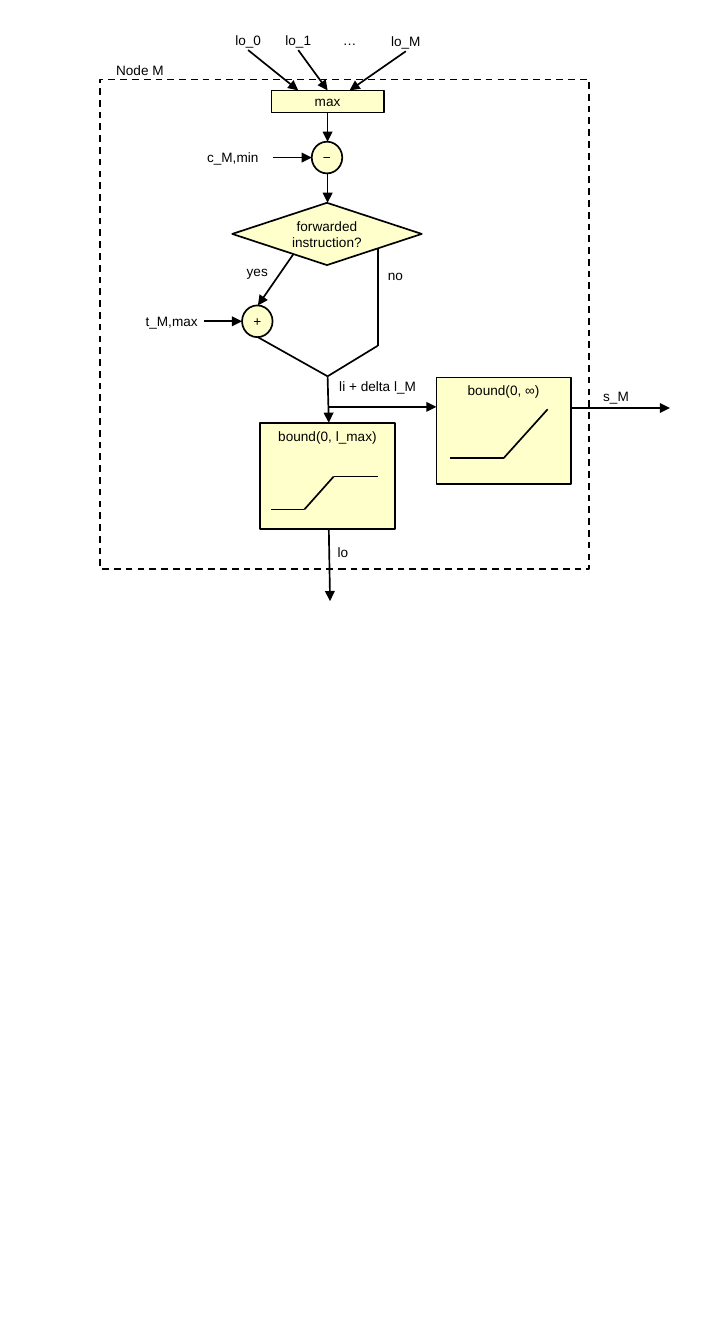
from pptx import Presentation
from pptx.dml.color import RGBColor
from pptx.enum.dml import MSO_LINE
from pptx.enum.shapes import MSO_CONNECTOR, MSO_SHAPE
from pptx.enum.text import MSO_ANCHOR, PP_ALIGN
from pptx.oxml.ns import qn
from pptx.util import Inches, Pt
from lxml import etree

RECT, OVAL, DIAMOND = MSO_SHAPE.RECTANGLE, MSO_SHAPE.OVAL, MSO_SHAPE.DIAMOND
MID, TOP = MSO_ANCHOR.MIDDLE, MSO_ANCHOR.TOP
INK, CREAM = "000000", "FFFFCC"

deck = Presentation()
deck.slide_width, deck.slide_height = Inches(5.8), Inches(11)
slide = deck.slides.add_slide(deck.slide_layouts[6])
shapes = slide.shapes
color = RGBColor.from_string


def write(shape, text, anchor=MID, inset=0):
    frame = shape.text_frame
    frame.word_wrap = True
    frame.vertical_anchor = anchor
    frame.margin_left = frame.margin_right = frame.margin_bottom = 0
    frame.margin_top = Inches(inset)
    para = frame.paragraphs[0]
    para.alignment = PP_ALIGN.CENTER
    run = para.add_run()
    run.text = text
    run.font.name, run.font.size = "Arial", Pt(8)
    run.font.color.rgb = color(INK)


def draw(points, arrow=False):
    for start, end in zip(points, points[1:]):
        line = shapes.add_connector(
            MSO_CONNECTOR.STRAIGHT, *[Inches(v) for v in start + end])
        line.line.color.rgb = color(INK)
        line.line.width = Pt(1)
        props = line._element.spPr
        if arrow:
            tip = etree.SubElement(props.find(qn("a:ln")), qn("a:tailEnd"))
            tip.set("type", "triangle")
        etree.SubElement(props, qn("a:effectLst"))


# Arrows between the steps
arrows = [
    [(2.03, 0.41), (2.44, 0.74)],
    [(2.44, 0.41), (2.68, 0.74)],
    [(3.32, 0.42), (2.86, 0.74)],
    [(2.68, 0.92), (2.68, 1.16)],
    [(2.23, 1.29), (2.55, 1.29)],
    [(2.68, 1.42), (2.68, 1.66)],
    [(2.4, 2.08), (2.11, 2.5)],
    [(1.67, 2.63), (1.98, 2.63)],
    [(2.68, 3.08), (2.69, 3.46)],
    [(2.69, 3.33), (3.57, 3.33)],
    [(2.69, 4.33), (2.7, 4.92)],
    [(4.67, 3.34), (5.48, 3.34)],
]
for points in arrows:
    draw(points, arrow=True)

# Both branches meet again
draw([(2.11, 2.76), (2.68, 3.08), (3.09, 2.83), (3.09, 2)])

# Steps and the dashed node frame
blocks = [
    (RECT, 2.22, 0.74, 0.92, 0.18, "max", MID),
    (OVAL, 2.55, 1.16, 0.25, 0.26, "−", MID),
    (OVAL, 1.98, 2.5, 0.25, 0.26, "+", MID),
    (DIAMOND, 1.9, 1.66, 1.55, 0.51, "forwarded instruction?", MID),
    (RECT, 2.13, 3.46, 1.1, 0.87, "bound(0, l_max)", TOP),
    (RECT, 3.57, 3.09, 1.1, 0.87, "bound(0, ∞)", TOP),
    (RECT, 0.82, 0.65, 4, 4.01, "", MID),
]
for kind, x, y, w, h, text, anchor in blocks:
    block = shapes.add_shape(kind, *[Inches(v) for v in (x, y, w, h)])
    block.shadow.inherit = False
    block.line.color.rgb = color(INK)
    block.line.width = Pt(1)
    if text:
        block.fill.solid()
        block.fill.fore_color.rgb = color(CREAM)
        write(block, text, anchor, 0.04 if anchor == TOP else 0)
    else:
        block.fill.background()
        block.line.dash_style = MSO_LINE.DASH

# Curves inside the bound boxes
draw([(2.22, 4.17), (2.49, 4.17), (2.73, 3.9), (3.09, 3.9)])
draw([(3.68, 3.75), (4.12, 3.75), (4.48, 3.35)])

# Labels
labels = [
    ("lo_0", 1.82, 0.25, 0.42),
    ("lo_1", 2.23, 0.25, 0.42),
    ("…", 2.65, 0.25, 0.42),
    ("lo_M", 3.07, 0.26, 0.5),
    ("Node M", 0.81, 0.49, 0.67),
    ("c_M,min", 1.57, 1.21, 0.67),
    ("yes", 1.77, 2.14, 0.67),
    ("no", 3.07, 2.17, 0.33),
    ("t_M,max", 1.07, 2.55, 0.67),
    ("li + delta l_M", 2.65, 3.08, 0.88),
    ("s_M", 4.77, 3.16, 0.54),
    ("lo", 2.62, 4.44, 0.37),
]
for text, x, y, w in labels:
    label = shapes.add_textbox(*[Inches(v) for v in (x, y, w, 0.16)])
    write(label, text)

deck.save("out.pptx")
